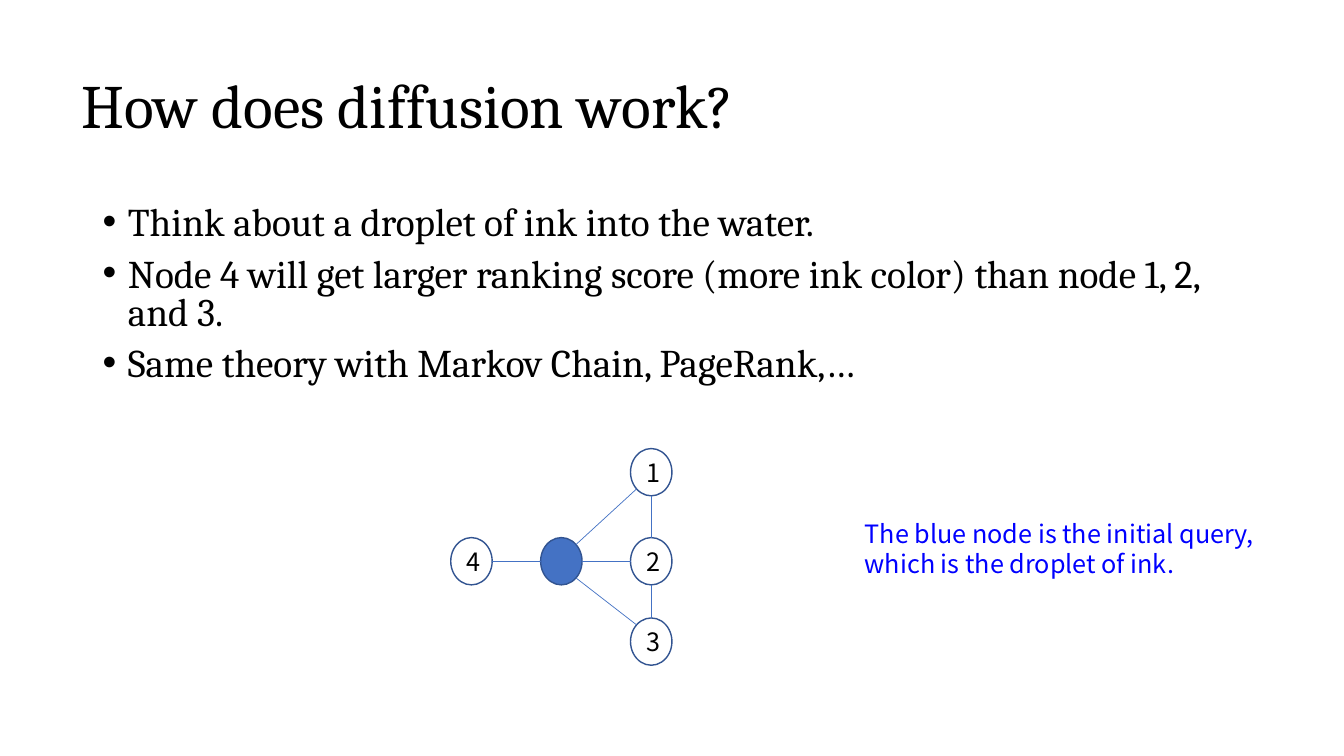
"""Build the slide on how diffusion spreads over a small graph."""
from pptx import Presentation
from pptx.dml.color import RGBColor
from pptx.enum import shapes, text
from pptx.oxml import parse_xml
from pptx.oxml.ns import nsdecls
from pptx.util import Pt

BLACK = RGBColor(0, 0, 0)
BLUE = RGBColor(0x44, 0x72, 0xC4)
EDGE = RGBColor(0x32, 0x54, 0x91)
NOTE = RGBColor(0, 0, 0xFF)
SERIF, SANS = "Cambria", "Noto Sans CJK KR"


def place(shape, left, top, width, height):
    box = {"left": left, "top": top, "width": width, "height": height}
    for key, val in box.items():
        setattr(shape, key, Pt(val))


def write(frame, lines, look, para):
    frame.text = "\n".join(lines)
    for par in frame.paragraphs:
        for key, val in para.items():
            setattr(par, key, val)
        for key, val in look.items():
            setattr(par.runs[0].font, key, val)
        par.runs[0].font.color.rgb = BLACK


deck = Presentation()
deck.slide_width, deck.slide_height = Pt(960), Pt(540)
slide = deck.slides.add_slide(deck.slide_layouts[1])

title, body = slide.placeholders
place(title, 51, 25.2, 828, 104.4)
title.text_frame.auto_size = text.MSO_AUTO_SIZE.NONE
title.text_frame.vertical_anchor = text.MSO_ANCHOR.MIDDLE
write(title.text_frame, ["How does diffusion work?"],
      {"name": SERIF, "size": Pt(44)},
      {"alignment": text.PP_ALIGN.LEFT, "line_spacing": 0.9})

place(body, 66.2, 144, 828, 136)
body.text_frame.auto_size = text.MSO_AUTO_SIZE.NONE
write(body.text_frame, [
    "Think about a droplet of ink into the water.",
    "Node 4 will get larger ranking score (more ink color) than node 1, 2, and 3.",
    "Same theory with Markov Chain, PageRank,…",
], {"name": SERIF, "size": Pt(28)}, {"line_spacing": 0.8, "space_before": Pt(10)})
body.text_frame.paragraphs[0].space_before = Pt(0)
for par in body.text_frame.paragraphs:
    props = par._p.get_or_add_pPr()
    props.set("marL", str(Pt(18)))
    props.set("indent", str(-Pt(18)))
    props.append(parse_xml(f'<a:buFont {nsdecls("a")} typeface="Arial"/>'))
    props.append(parse_xml(f'<a:buChar {nsdecls("a")} char="•"/>'))

WIDE, HIGH = 29.6, 33.8
MID, STEP, ROW = 401, 64.2, 400.9
nodes = {
    "": (MID, ROW),
    "1": (MID + STEP, 337.3),
    "2": (MID + STEP, ROW),
    "3": (MID + STEP, 458.3),
    "4": (MID - STEP, ROW),
}
for name, (x, y) in nodes.items():
    node = slide.shapes.add_shape(shapes.MSO_SHAPE.OVAL, 0, 0, 0, 0)
    place(node, x - WIDE / 2, y - HIGH / 2, WIDE, HIGH)
    node.shadow.inherit = False
    node.line.color.rgb = EDGE
    node.line.width = Pt(1)
    if name:
        node.fill.background()
        node.text_frame.vertical_anchor = text.MSO_ANCHOR.MIDDLE
        write(node.text_frame, [name], {"name": SANS, "size": Pt(18)},
              {"alignment": text.PP_ALIGN.CENTER})
    else:
        node.fill.solid()
        node.fill.fore_color.rgb = BLUE

for a, b in [("", "1"), ("", "4"), ("", "2"), ("", "3"), ("1", "2"), ("2", "3")]:
    (ax, ay), (bx, by) = nodes[a], nodes[b]
    sx, sy = (bx > ax) - (bx < ax), (by > ay) - (by < ay)
    reach = 0.3536 if sx and sy else 0.5
    dx, dy = sx * WIDE * reach, sy * HIGH * reach
    link = slide.shapes.add_connector(
        shapes.MSO_CONNECTOR.STRAIGHT,
        Pt(ax + dx), Pt(ay + dy), Pt(bx - dx), Pt(by - dy))
    link.line.color.rgb = BLUE
    link.line.width = Pt(0.5)
    link._element.spPr.append(parse_xml(f'<a:effectLst {nsdecls("a")}/>'))

note = slide.shapes.add_textbox(Pt(610.6), Pt(366.5), Pt(334), Pt(51))
note.text_frame.word_wrap = True
write(note.text_frame,
      ["The blue node is the initial query, which is the droplet of ink."],
      {"name": SANS, "size": Pt(18)}, {})
note.text_frame.paragraphs[0].runs[0].font.color.rgb = NOTE

deck.save("out.pptx")
